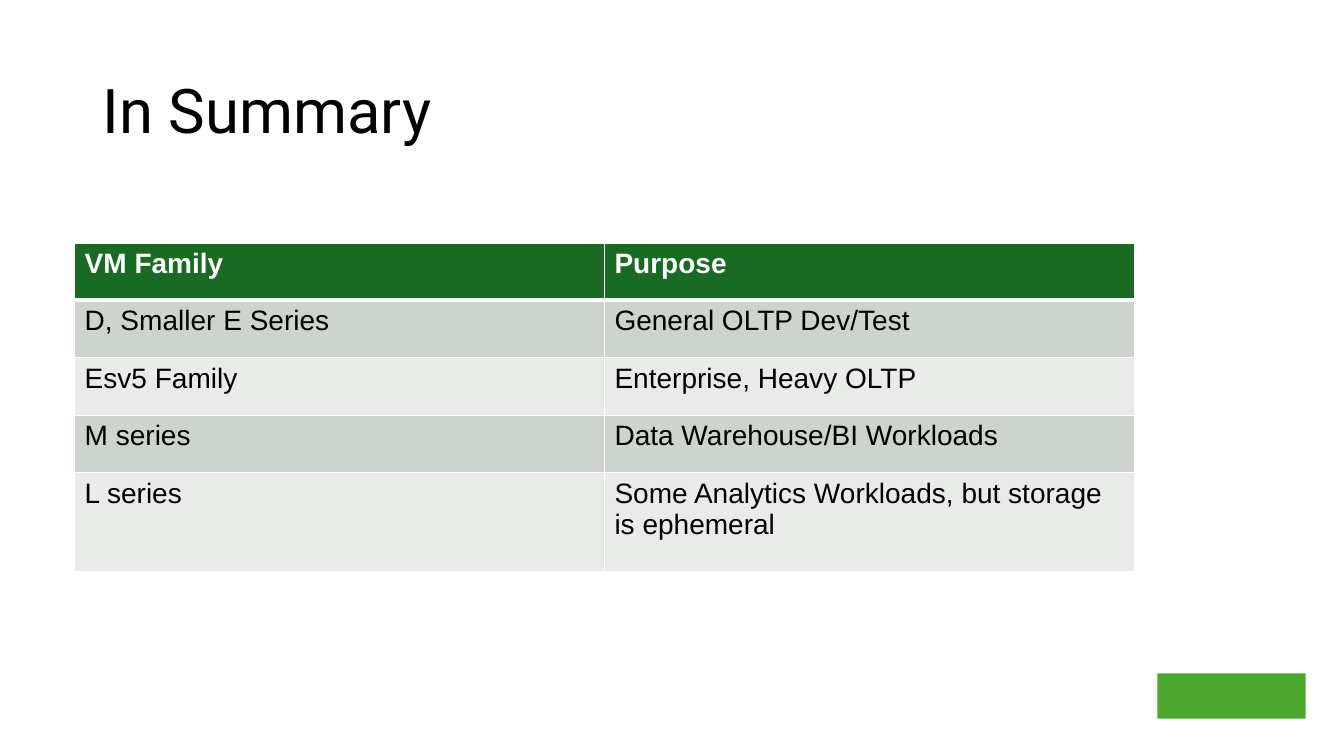
from pptx import Presentation
from pptx.dml.color import RGBColor
from pptx.enum.shapes import MSO_SHAPE
from pptx.enum.text import MSO_ANCHOR, PP_ALIGN
from pptx.oxml import parse_xml
from pptx.oxml.ns import nsdecls
from pptx.util import Inches, Pt

RECTANGLE = MSO_SHAPE.RECTANGLE
MIDDLE = MSO_ANCHOR.MIDDLE
LEFT = PP_ALIGN.LEFT

BLACK = RGBColor(0x00, 0x00, 0x00)
WHITE = RGBColor(0xFF, 0xFF, 0xFF)
GREEN = RGBColor(0x19, 0x6B, 0x24)
LIGHT_GREEN = RGBColor(0x4E, 0xA7, 0x2E)
BAND_DARK = RGBColor(0xCC, 0xD4, 0xCD)
BAND_LIGHT = RGBColor(0xE8, 0xEB, 0xE8)

VM_ROWS = [
    ("VM Family", "Purpose"),
    ("D, Smaller E Series", "General OLTP Dev/Test"),
    ("Esv5 Family", "Enterprise, Heavy OLTP"),
    ("M series", "Data Warehouse/BI Workloads"),
    ("L series", "Some Analytics Workloads, but storage is ephemeral"),
]
ROW_HEIGHTS = [0.57, 0.57, 0.57, 0.57, 0.98]


def write_text(tf, text, font="Arial", size=20, color=BLACK, bold=False,
               spacing=1.0):
    p = tf.paragraphs[0]
    p.alignment = LEFT
    p.line_spacing = spacing
    r = p.add_run()
    r.text = text
    r.font.name = font
    r.font.size = Pt(size)
    r.font.bold = bold
    r.font.color.rgb = color


def set_borders(cell, **widths):
    """Draw white cell borders, with widths in points by side."""
    tcPr = cell._tc.get_or_add_tcPr()
    for side in ("L", "R", "T", "B"):
        tcPr.append(parse_xml(
            f'<a:ln{side} {nsdecls("a")} w="{Pt(widths.get(side, 1))}">'
            f'<a:solidFill><a:srgbClr val="{WHITE}"/></a:solidFill>'
            f'</a:ln{side}>'))


def add_title(s, text, left, top, width, height):
    sp = s.shapes.title
    sp.left, sp.top = Inches(left), Inches(top)
    sp.width, sp.height = Inches(width), Inches(height)
    tf = sp.text_frame
    tf.word_wrap = True
    tf.vertical_anchor = MIDDLE
    write_text(tf, text, font="Roboto", size=44, spacing=0.9)


def add_vm_table(s, rows, heights, left, top, width):
    n_cols = len(rows[0])
    table = s.shapes.add_table(
        len(rows), n_cols, Inches(left), Inches(top),
        Inches(width), Inches(sum(heights))).table
    for column in table.columns:
        column.width = Inches(width / n_cols)

    for i, (values, height) in enumerate(zip(rows, heights)):
        table.rows[i].height = Inches(height)
        header = i == 0
        band = BAND_DARK if i % 2 else BAND_LIGHT
        for j, value in enumerate(values):
            cell = table.cell(i, j)
            # The rule under the header is thicker than the grid
            set_borders(cell, T=3 if i == 1 else 1, B=3 if header else 1)
            cell.fill.solid()
            cell.fill.fore_color.rgb = GREEN if header else band
            write_text(cell.text_frame, value, bold=header,
                       color=WHITE if header else BLACK)


def add_brand_block(s, left, top, width, height):
    sp = s.shapes.add_shape(RECTANGLE, Inches(left), Inches(top),
                            Inches(width), Inches(height))
    sp.shadow.inherit = False
    sp.fill.solid()
    sp.fill.fore_color.rgb = LIGHT_GREEN
    sp.line.fill.background()


def main():
    prs = Presentation()
    prs.slide_width, prs.slide_height = Inches(13.33), Inches(7.5)
    s = prs.slides.add_slide(prs.slide_layouts[5])

    # Background
    s.background.fill.solid()
    s.background.fill.fore_color.rgb = WHITE

    # Brand block in the lower right corner
    add_brand_block(s, 11.48, 6.68, 1.47, 0.45)

    # Title and summary table
    add_title(s, "In Summary", 0.92, 0.4, 11.5, 1.45)
    add_vm_table(s, VM_ROWS, ROW_HEIGHTS, 0.74, 2.41, 10.51)

    prs.save("out.pptx")


if __name__ == "__main__":
    main()
